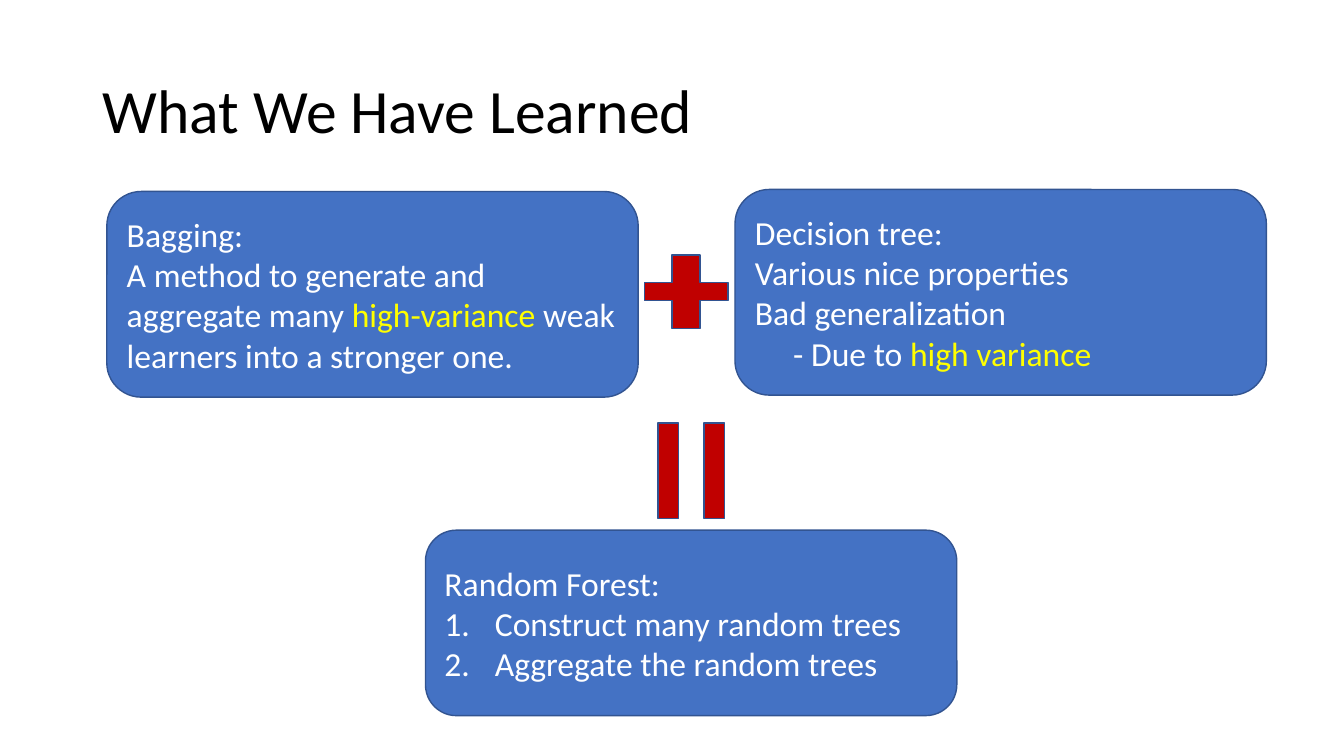
"""Build the slide that sums up bagging, decision trees and random forests."""
from pptx import Presentation
from pptx import util as u
from pptx.dml.color import RGBColor
from pptx.enum import shapes, text
from pptx.oxml.ns import qn

HUES = {"ink": "000000", "box": "4472C4", "edge": "325491",
        "sign": "C00000", "pale": "FFFFFF", "mark": "FFFF00"}
FONT = "Calibri"
WIDE, HIGH = 13.33, 7.5
TITLE = "What We Have Learned"

CARDS = [
    ((1.06, 1.9, 5.27, 2.04), [
        ("", [("Bagging:", "pale")]),
        ("", [("A method to generate and aggregate many ", "pale"),
              ("high-variance", "mark"),
              (" weak learners into a stronger one.", "pale")])]),
    ((7.29, 1.88, 5.27, 2.04), [
        ("", [("Decision tree:", "pale")]),
        ("", [("Various nice properties", "pale")]),
        ("", [("Bad generalization", "pale")]),
        ("sub", [("- Due to ", "pale"), ("high variance", "mark")])]),
    ((4.22, 5.26, 5.27, 1.84), [
        ("", [("Random Forest:", "pale")]),
        ("num", [("Construct many random trees", "pale")]),
        ("num", [("Aggregate the random trees", "pale")])]),
]
SIGNS = [
    ("CROSS", (6.39, 2.53, 0.83, 0.73), 0, [0.378]),
    ("MATH_EQUAL", (6.21, 4.24, 1.29, 0.86), 90, [0.235, 0.299]),
]
INDENTS = {"sub": (0.38, 0), "num": (0.5, -0.5)}


def tint(name):
    return RGBColor.from_string(HUES[name])


def add_run(para, words, size, hue):
    run = para.add_run()
    run.text = words
    run.font.size, run.font.name = u.Pt(size), FONT
    run.font.color.rgb = tint(hue)


def add_form(slide, kind, area, fill):
    form = slide.shapes.add_shape(getattr(shapes.MSO_SHAPE, kind), *map(u.Inches, area))
    form.shadow.inherit = False
    form.fill.solid()
    form.fill.fore_color.rgb = tint(fill)
    form.line.color.rgb = tint("edge")
    form.line.width = u.Pt(1)
    return form


def indent(para, role):
    props = para._p.get_or_add_pPr()
    left, first = INDENTS[role]
    props.set("marL", str(u.Inches(left)))
    props.set("indent", str(u.Inches(first)))
    if role == "num":
        face = props.makeelement(qn("a:buFont"), {"typeface": "+mj-lt"})
        mark = props.makeelement(qn("a:buAutoNum"), {"type": "arabicPeriod"})
        props.extend([face, mark])


def add_card(slide, area, lines):
    frame = add_form(slide, "ROUNDED_RECTANGLE", area, "box").text_frame
    frame.word_wrap = True
    frame.vertical_anchor = text.MSO_ANCHOR.MIDDLE
    for row, (role, runs) in enumerate(lines):
        para = frame.add_paragraph() if row else frame.paragraphs[0]
        para.alignment = text.PP_ALIGN.LEFT
        if role:
            indent(para, role)
        for words, hue in runs:
            add_run(para, words, 24, hue)


def add_title(slide):
    title = slide.shapes.title
    title.left, title.top, title.width, title.height = map(u.Inches, (0.92, 0.4, 11.5, 1.45))
    frame = title.text_frame
    frame.vertical_anchor = text.MSO_ANCHOR.MIDDLE
    para = frame.paragraphs[0]
    para.alignment = text.PP_ALIGN.LEFT
    para.line_spacing = 0.9
    add_run(para, TITLE, 44, "ink")


def main():
    deck = Presentation()
    deck.slide_width, deck.slide_height = u.Inches(WIDE), u.Inches(HIGH)
    slide = deck.slides.add_slide(deck.slide_layouts[5])
    add_title(slide)
    for area, lines in CARDS:
        add_card(slide, area, lines)
    for kind, area, turn, bends in SIGNS:
        sign = add_form(slide, kind, area, "sign")
        sign.rotation = turn
        for spot, bend in enumerate(bends):
            sign.adjustments[spot] = bend
    deck.save("out.pptx")


if __name__ == "__main__":
    main()
